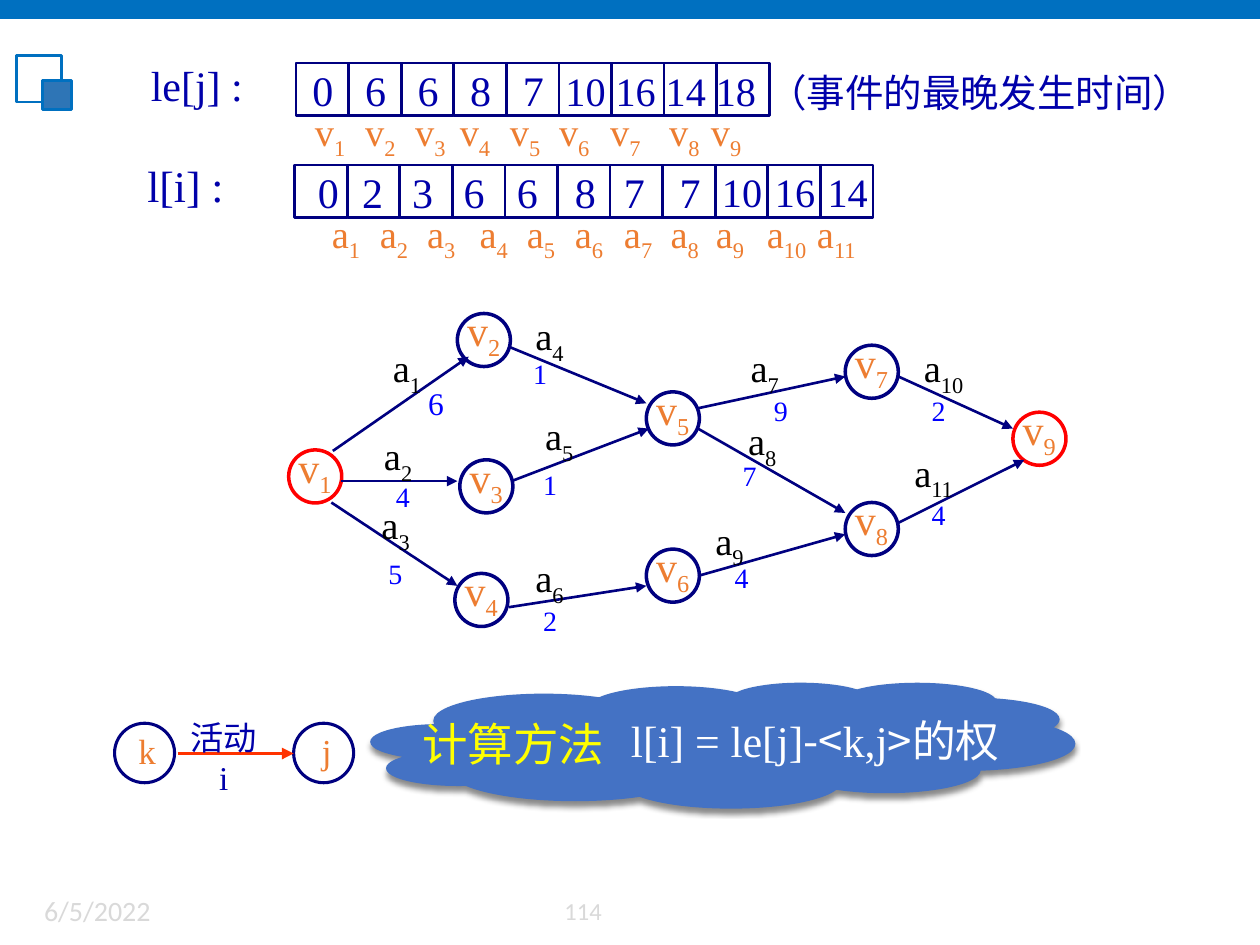
from pptx import Presentation
from pptx.dml.color import RGBColor
from pptx.enum.shapes import MSO_CONNECTOR, MSO_SHAPE
from pptx.enum.text import MSO_ANCHOR, MSO_AUTO_SIZE, PP_ALIGN
from pptx.oxml.ns import qn
from pptx.util import Cm, Pt
from lxml.etree import SubElement

NAVY = RGBColor(0x00, 0x00, 0x80)
INK = RGBColor(0x00, 0x00, 0xAA)
BLUE = RGBColor(0x00, 0x00, 0xFF)
ORANGE = RGBColor(0xED, 0x7D, 0x31)
RED = RGBColor(0xFF, 0x00, 0x00)
SCARLET = RGBColor(0xFF, 0x33, 0x00)
YELLOW = RGBColor(0xFF, 0xFF, 0x00)
WHITE = RGBColor(0xFF, 0xFF, 0xFF)
BLACK = RGBColor(0x00, 0x00, 0x00)
GREY = RGBColor(0xD9, 0xD9, 0xD9)
BAR = RGBColor(0x00, 0x70, 0xC0)
STEEL = RGBColor(0x2E, 0x75, 0xB6)
CLOUD = RGBColor(0x44, 0x72, 0xC4)
SERIF, SANS, HAN = "Times New Roman", "Calibri", "Noto Sans CJK SC"


class Board:
    def __init__(self, page):
        self.page = page

    def shape(self, kind, left, top, width, height, fill=None, line=None, weight=1.5):
        item = self.page.shapes.add_shape(kind, Cm(left), Cm(top), Cm(width), Cm(height))
        item.shadow.inherit = False
        if fill is None:
            item.fill.background()
        else:
            item.fill.solid()
            item.fill.fore_color.rgb = fill
        if line is None:
            item.line.fill.background()
        else:
            item.line.color.rgb = line
            item.line.width = Pt(weight)
        return item

    def style(self, span, size, color, font):
        span.font.size = Pt(size)
        span.font.color.rgb = color
        span.font.name = font
        properties = span._r.get_or_add_rPr()
        SubElement(properties, qn("a:ea")).set("typeface", HAN)
        return properties

    def text(self, left, top, width, height, words, size, color, font=SERIF,
             align=PP_ALIGN.CENTER, wrap=False):
        box = self.page.shapes.add_textbox(Cm(left), Cm(top), Cm(width), Cm(height))
        frame = box.text_frame
        frame.word_wrap = wrap
        frame.auto_size = MSO_AUTO_SIZE.SHAPE_TO_FIT_TEXT
        para = frame.paragraphs[0]
        para.text = words
        para.alignment = align
        for span in para.runs:
            self.style(span, size, color, font)
        return box

    def add_span(self, para, words, size, color, font=SERIF, baseline=0):
        span = para.add_run()
        span.text = words
        properties = self.style(span, size, color, font)
        if baseline:
            properties.set("baseline", str(baseline * 1000))

    def indexed(self, left, top, width, height, letter, index, size, color, baseline):
        box = self.text(left, top, width, height, letter, size, color)
        self.add_span(box.text_frame.paragraphs[0], str(index), size, color, baseline=baseline)

    def tabbed(self, left, top, width, height, stops):
        box = self.text(left, top, width, height, "", 24, INK, align=PP_ALIGN.LEFT)
        para = box.text_frame.paragraphs[0]
        tabs = SubElement(para._p.get_or_add_pPr(), qn("a:tabLst"))
        for stop in stops:
            tab = SubElement(tabs, qn("a:tab"))
            tab.set("pos", str(Cm(stop)))
            tab.set("algn", "l")
        return box

    def index_row(self, left, top, width, letter, stops):
        box = self.tabbed(left, top, width, 1.19, stops)
        para = box.text_frame.paragraphs[0]
        for index in range(1, len(stops) + 2):
            self.add_span(para, letter if index == 1 else "\t" + letter, 22, ORANGE)
            self.add_span(para, str(index), 22, ORANGE, baseline=-25)
        return box

    def cells(self, left, top, count):
        for column in range(count):
            self.shape(MSO_SHAPE.RECTANGLE, left + 1.06 * column, top, 1.06, 1.06, line=NAVY)

    def arrow(self, start, end, color=NAVY, weight=1.5):
        line = self.page.shapes.add_connector(
            MSO_CONNECTOR.STRAIGHT, *(Cm(value) for value in start + end))
        line.line.color.rgb = color
        line.line.width = Pt(weight)
        SubElement(line.line._get_or_add_ln(), qn("a:tailEnd")).set("type", "triangle")
        SubElement(line._element.spPr, qn("a:effectLst"))

    def cloud(self, left, top, width, height):
        item = self.shape(MSO_SHAPE.CLOUD_CALLOUT, left, top, width, height, CLOUD, CLOUD, 0.79)
        item.adjustments[0] = -0.13
        item.adjustments[1] = -0.04
        effects = item._element.spPr.find(qn("a:effectLst"))
        shadow = SubElement(effects, qn("a:outerShdw"))
        for key, value in (("blurRad", Pt(3)), ("dist", Pt(2.4)), ("dir", 5400000)):
            shadow.set(key, str(value))
        tint = SubElement(shadow, qn("a:srgbClr"))
        tint.set("val", "000000")
        SubElement(tint, qn("a:alpha")).set("val", "45000")

    def footer(self, left, width, words, size):
        box = self.text(left, 17.86, width, 1, words, size, GREY, SANS, PP_ALIGN.LEFT, True)
        box.text_frame.auto_size = MSO_AUTO_SIZE.NONE
        box.text_frame.vertical_anchor = MSO_ANCHOR.MIDDLE


VERTICES = [(5.82, 9.07), (9.22, 6.32), (9.27, 9.27), (9.17, 11.56), (13.03, 7.9),
            (13.03, 11.07), (17.04, 6.96), (17.04, 10.13), (20.42, 8.31)]
ACTIVITIES = [
    ((6.71, 9.09), (9.45, 7.19), (7.62, 6.81), "6", (8.38, 7.62)),
    ((6.88, 9.7), (9.22, 9.7), (7.44, 8.59), "4", (7.72, 9.55)),
    ((6.68, 10.13), (9.22, 11.81), (7.39, 9.98), "5", (7.57, 11.1)),
    ((10.26, 6.99), (13.03, 8.13), (10.49, 6.17), "1", (10.49, 7.06)),
    ((10.31, 9.7), (13.08, 8.64), (10.69, 8.18), "1", (10.69, 9.3)),
    ((10.26, 12.24), (13.03, 11.81), (10.49, 11.05), "2", (10.69, 12.04)),
    ((14.07, 8.23), (17.04, 7.59), (14.83, 6.81), "9", (15.34, 7.8)),
    ((14.07, 8.64), (17.04, 10.34), (14.78, 8.28), "7", (14.71, 9.12)),
    ((14.07, 11.61), (17.04, 10.77), (14.12, 10.29), "4", (14.55, 11.18)),
    ((18.11, 7.59), (20.42, 8.64), (18.31, 6.81), "2", (18.52, 7.8)),
    ((18.11, 10.54), (20.65, 9.27), (18.11, 8.92), "4", (18.52, 9.91)),
]
LATEST_STARTS = [("0", 6.15), ("2", 7.04), ("3", 8.05), ("6", 9.09), ("6", 10.16), ("8", 11.33),
                 ("7", 12.32), ("7", 13.44), ("10", 14.3), ("16", 15.37), ("14", 16.43)]


def draw_header(board):
    board.shape(MSO_SHAPE.RECTANGLE, 0, 0, 25.4, 0.38, BAR)
    board.shape(MSO_SHAPE.RECTANGLE, 0.33, 1.12, 0.91, 0.94, line=BAR)
    board.shape(MSO_SHAPE.RECTANGLE, 0.86, 1.63, 0.58, 0.58, STEEL, BAR)
    board.footer(0.64, 4.67, "6/5/2022", 16)
    board.footer(11.13, 1.57, "114", 14)


def draw_legend(board):
    for left in (2.31, 5.92):
        board.shape(MSO_SHAPE.OVAL, left, 14.58, 1.21, 1.2, line=NAVY, weight=1.75)
    board.arrow((3.58, 15.19), (5.92, 15.19), SCARLET, 2.25)
    board.text(3.48, 14.33, 2.06, 1.07, "活动\vi", 19, INK)
    board.text(2.51, 14.58, 0.91, 1.09, "k", 20, ORANGE)
    board.text(6.22, 14.58, 0.74, 1.09, "j", 20, ORANGE)
    board.cloud(7.49, 13.77, 14.17, 2.51)
    board.text(8.26, 14.3, 5.38, 1.35, "计算方法", 26, YELLOW, align=PP_ALIGN.LEFT, wrap=True)
    formula = board.text(12.47, 14.27, 11.58, 1.32, "l[i] = le[j]", 25, WHITE,
                         align=PP_ALIGN.LEFT, wrap=True)
    for words, font in (("-<", HAN), ("k,j", SERIF), (">", HAN), ("的权", SERIF)):
        board.add_span(formula.text_frame.paragraphs[0], words, 25, WHITE, font)


def draw_tables(board):
    board.cells(5.94, 3.33, 11)
    board.text(2.72, 3.07, 2.11, 1.32, "l[i] :", 25, INK, align=PP_ALIGN.LEFT)
    labels = board.index_row(6.02, 4.11, 11.94, "a", [
        0.97, 1.92, 2.98, 3.93, 4.9, 5.89, 6.83, 7.74, 8.77, 9.78])
    labels.text_frame.margin_left = Cm(0.67)
    board.cells(5.97, 1.27, 9)
    board.text(2.74, 1.07, 2.46, 1.27, "le[j] :", 24, INK)
    stops = [1.06 * step for step in range(1, 5)] + [5.1 + 1.01 * step for step in range(4)]
    values = board.tabbed(6.05, 1.17, 9.45, 1.27, stops).text_frame.paragraphs[0]
    board.add_span(values, "0\t6\t6\t8\t7\t", 24, INK)
    board.add_span(values, "10\t16\t14\t18", 23, INK)
    board.index_row(6.1, 2.06, 9.98, "v", [1.01, 2.02, 2.92, 3.93, 4.92, 5.95, 7.14, 7.98])
    board.text(15.24, 1.27, 9.09, 1.19, "（事件的最晚发生时间）", 22, INK, align=PP_ALIGN.LEFT)
    for value, left in LATEST_STARTS:
        if len(value) == 1:
            board.text(left, 3.23, 0.94, 1.27, value, 24, INK)
        else:
            board.text(left, 3.25, 1.32, 1.22, value, 23, INK)


def draw_network(board):
    for index, (left, top) in enumerate(VERTICES, 1):
        color = RED if index in (1, len(VERTICES)) else NAVY
        board.shape(MSO_SHAPE.OVAL, left, top, 1.07, 1.07, line=color, weight=2)
        board.indexed(left - 0.08, top - 0.3, 1.22, 1.27, "v", index, 24, ORANGE, -24)
    for index, (start, end, name_at, weight, weight_at) in enumerate(ACTIVITIES, 1):
        board.arrow(start, end)
        width = 1.17 if index < 10 else 1.42
        board.indexed(*name_at, width, 1.19, "a", index, 22, BLACK, -28)
        board.text(*weight_at, 0.8, 0.94, weight, 18 if index == 1 else 16, BLUE)


def main():
    deck = Presentation()
    deck.slide_width, deck.slide_height = Cm(25.4), Cm(19.05)
    board = Board(deck.slides.add_slide(deck.slide_layouts[6]))
    for draw in (draw_header, draw_legend, draw_tables, draw_network):
        draw(board)
    deck.save("out.pptx")


if __name__ == "__main__":
    main()
